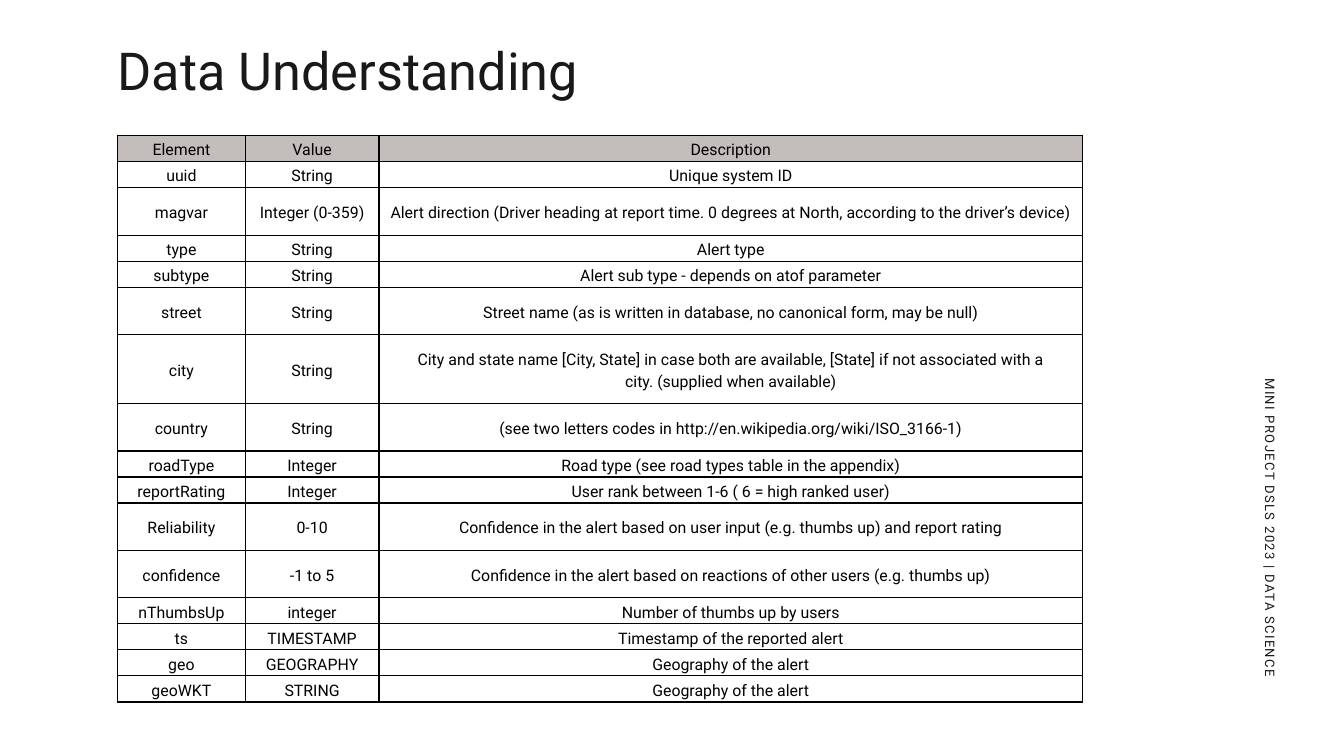
from dataclasses import dataclass

from lxml.etree import SubElement
from pptx import Presentation
from pptx.dml.color import RGBColor
from pptx.enum.text import MSO_ANCHOR as Anchor, MSO_AUTO_SIZE as AutoSize, PP_ALIGN as Align
from pptx.oxml.ns import qn
from pptx.util import Inches, Pt

TITLE = "Data Understanding"
FOOTER = "MINI PROJECT DSLS 2023 | DATA SCIENCE"
HEADER = ("Element", "Value", "Description")
SHORT, TALL, DOUBLE = 0.39, 0.71, 1.03
FIELDS = [
    (SHORT, "uuid", "String", "Unique system ID"),
    (TALL, "magvar", "Integer (0-359)",
     "Alert direction (Driver heading at report time. 0 degrees at North, according to the driver’s device)"),
    (SHORT, "type", "String", "Alert type"),
    (SHORT, "subtype", "String", "Alert sub type - depends on atof parameter"),
    (TALL, "street", "String", "Street name (as is written in database, no canonical form, may be null)"),
    (DOUBLE, "city", "String",
     "City and state name [City, State] in case both are available, [State] if not associated with a\n"
     "city. (supplied when available)"),
    (TALL, "country", "String", "(see two letters codes in http://en.wikipedia.org/wiki/ISO_3166-1)"),
    (SHORT, "roadType", "Integer", "Road type (see road types table in the appendix)"),
    (SHORT, "reportRating", "Integer", "User rank between 1-6 ( 6 = high ranked user)"),
    (TALL, "Reliability", "0-10", "Confidence in the alert based on user input (e.g. thumbs up) and report rating"),
    (TALL, "confidence", "-1 to 5", "Confidence in the alert based on reactions of other users (e.g. thumbs up)"),
    (SHORT, "nThumbsUp", "integer", "Number of thumbs up by users"),
    (SHORT, "ts", "TIMESTAMP", "Timestamp of the reported alert"),
    (SHORT, "geo", "GEOGRAPHY", "Geography of the alert"),
    (SHORT, "geoWKT", "STRING", "Geography of the alert"),
]

SLIDE_WIDTH, SLIDE_HEIGHT = 20, 11.25
LEFT = 1.75
TABLE_TOP, TABLE_HEIGHT = 2.02, 8.43
COLUMNS = (1.9, 1.99, 10.47)


@dataclass(frozen=True)
class Theme:
    font: str = "Roboto"
    ink: str = "191919"
    cell_ink: str = "000000"
    border: str = "000000"
    header_fill: str = "C3BDBB"
    title_size: float = 56
    cell_size: float = 17
    footer_size: float = 14
    title_line: float = 56
    cell_line: float = 23.8
    footer_line: float = 16.8
    footer_tracking: float = 1.4
    border_width: float = 1.5


THEME = Theme()


def write(para, text, size, color, line, tracking=0):
    para.line_spacing = Pt(line)
    span = para.add_run()
    span.text = text
    span.font.name = THEME.font
    span.font.size = Pt(size)
    span.font.color.rgb = RGBColor.from_string(color)
    if tracking:
        span.font._element.set("spc", str(round(tracking * 100)))


def add_label(page, left, top, width, height, text, size, line, tracking=0, rotation=0):
    box = page.shapes.add_textbox(Inches(left), Inches(top), Inches(width), Inches(height))
    box.rotation = rotation
    frame = box.text_frame
    frame.word_wrap = True
    frame.auto_size = AutoSize.SHAPE_TO_FIT_TEXT
    frame.margin_left = frame.margin_right = frame.margin_top = frame.margin_bottom = 0
    write(frame.paragraphs[0], text, size, THEME.ink, line, tracking)


def outline(cell):
    properties = cell._tc.get_or_add_tcPr()
    for position, side in enumerate(("a:lnL", "a:lnR", "a:lnT", "a:lnB")):
        edge = SubElement(properties, qn(side), w=str(Pt(THEME.border_width)))
        fill = SubElement(edge, qn("a:solidFill"))
        SubElement(fill, qn("a:srgbClr"), val=THEME.border)
        properties.insert(position, edge)


def fill_cell(cell, text, is_header):
    cell.margin_left = cell.margin_right = cell.margin_top = cell.margin_bottom = 0
    cell.vertical_anchor = Anchor.MIDDLE
    if is_header:
        cell.fill.solid()
        cell.fill.fore_color.rgb = RGBColor.from_string(THEME.header_fill)
    else:
        cell.fill.background()
    outline(cell)
    frame = cell.text_frame
    for index, text_line in enumerate(text.split("\n")):
        para = frame.add_paragraph() if index else frame.paragraphs[0]
        para.alignment = Align.CENTER
        write(para, text_line, THEME.cell_size, THEME.cell_ink, THEME.cell_line)


def add_field_table(page):
    rows = [(SHORT, *HEADER), *FIELDS]
    scale = TABLE_HEIGHT / sum(row[0] for row in rows)
    table = page.shapes.add_table(
        len(rows), len(COLUMNS), Inches(LEFT), Inches(TABLE_TOP),
        Inches(sum(COLUMNS)), Inches(TABLE_HEIGHT),
    ).table
    table.horz_banding = False
    for column, width in zip(table.columns, COLUMNS):
        column.width = Inches(width)
    for index, (height, *texts) in enumerate(rows):
        table.rows[index].height = Inches(height * scale)
        for cell, text in zip(table.rows[index].cells, texts):
            fill_cell(cell, text, index == 0)


def main():
    deck = Presentation()
    deck.slide_width, deck.slide_height = Inches(SLIDE_WIDTH), Inches(SLIDE_HEIGHT)
    page = deck.slides.add_slide(deck.slide_layouts[6])
    add_field_table(page)
    add_label(page, LEFT, 0.72, 14.05, 0.89, TITLE, THEME.title_size, THEME.title_line)
    add_label(page, 15.71, 8.68, 6.36, 0.26, FOOTER, THEME.footer_size,
              THEME.footer_line, THEME.footer_tracking, rotation=90)
    deck.save("out.pptx")


if __name__ == "__main__":
    main()
